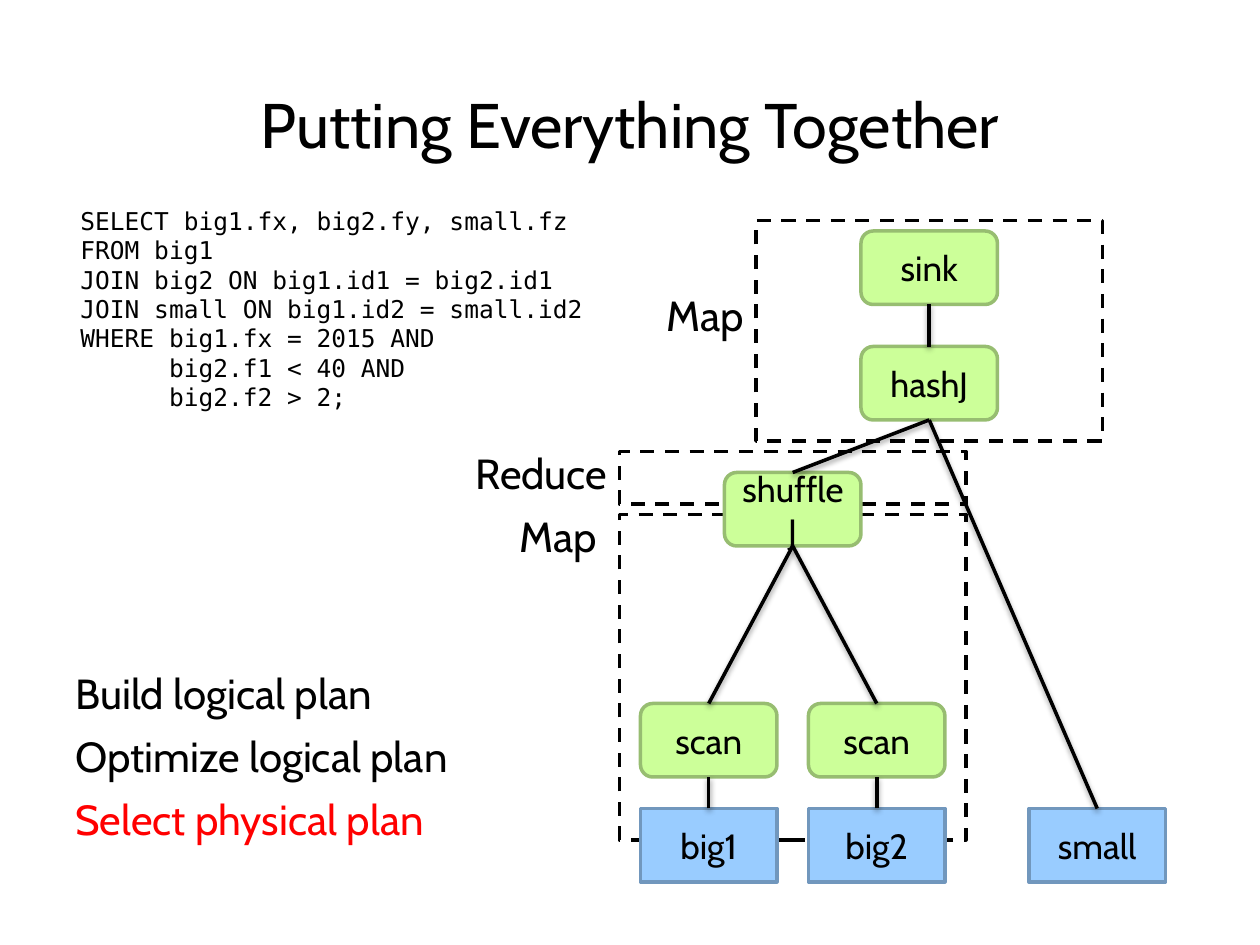
"""Build the slide that shows a query next to its physical plan tree."""
from lxml.etree import SubElement
from pptx import Presentation
from pptx.dml.color import RGBColor
from pptx.enum.dml import MSO_LINE
from pptx.enum.shapes import MSO_CONNECTOR, MSO_SHAPE
from pptx.enum.text import MSO_ANCHOR as ANCHOR, MSO_AUTO_SIZE as AUTO_SIZE, PP_ALIGN as ALIGN
from pptx.oxml.ns import qn
from pptx.util import Pt

BLACK = RGBColor(0x00, 0x00, 0x00)
RED = RGBColor(0xFF, 0x00, 0x00)
BLUE = RGBColor(0x99, 0xCC, 0xFF)
BLUE_EDGE = RGBColor(0x71, 0x97, 0xBD)
GREEN = RGBColor(0xCC, 0xFF, 0x99)
GREEN_EDGE = RGBColor(0x97, 0xBD, 0x71)

NODE_WIDTH, NODE_HEIGHT = 78, 42


def write(shape, text, size, align=ALIGN.LEFT, color=BLACK, font="Cabin", **frame_format):
    text_frame = shape.text_frame
    text_frame.text = text
    for name, value in frame_format.items():
        setattr(text_frame, name, value)
    for paragraph in text_frame.paragraphs:
        paragraph.alignment = align
        for run in paragraph.runs:
            for name, value in {"name": font, "size": Pt(size)}.items():
                setattr(run.font, name, value)
            run.font.color.rgb = color


def add_box(kind, left, top, width, height, edge):
    shape = slide.shapes.add_shape(kind, Pt(left), Pt(top), Pt(width), Pt(height))
    shape.shadow.inherit = False
    shape.line.color.rgb = edge
    shape.line.width = Pt(2)
    return shape


presentation = Presentation()
presentation.slide_width, presentation.slide_height = Pt(720), Pt(540)
slide = presentation.slides.add_slide(presentation.slide_layouts[5])

title = slide.shapes.title
title_place = {"left": 0, "top": 43.2, "width": 720, "height": 54}
for name, value in title_place.items():
    setattr(title, name, Pt(value))
write(title, "Putting Everything Together", 36, ALIGN.CENTER,
      vertical_anchor=ANCHOR.MIDDLE, auto_size=AUTO_SIZE.NONE)

stage_frames = [(354, 294, 198, 186), (354, 258, 198, 30), (432, 126, 198, 126)]
for place in stage_frames:
    frame = add_box(MSO_SHAPE.RECTANGLE, *place, BLACK)
    frame.fill.background()
    frame.line.dash_style = MSO_LINE.DASH

operator = (MSO_SHAPE.ROUNDED_RECTANGLE, GREEN, GREEN_EDGE)
table = (MSO_SHAPE.RECTANGLE, BLUE, BLUE_EDGE)
plan_nodes = {
    "sink": ("sink", 492, 132, operator),
    "join": ("hashJ", 492, 198, operator),
    "shuffle": ("shuffleJ", 414, 270, operator),
    "scan1": ("scan", 366, 402, operator),
    "scan2": ("scan", 462, 402, operator),
    "big1": ("big1", 366, 462, table),
    "big2": ("big2", 462, 462, table),
    "small": ("small", 588, 462, table),
}
nodes = {}
for key, (label, left, top, (kind, fill, edge)) in plan_nodes.items():
    node = add_box(kind, left, top, NODE_WIDTH, NODE_HEIGHT, edge)
    node.fill.solid()
    node.fill.fore_color.rgb = fill
    write(node, label, 20, ALIGN.CENTER, vertical_anchor=ANCHOR.MIDDLE)
    nodes[key] = node

plan_edges = [
    ("join", "sink"), ("shuffle", "join"), ("small", "join"), ("scan1", "shuffle"),
    ("scan2", "shuffle"), ("big1", "scan1"), ("big2", "scan2"),
]
shadow_format = {"blurRad": "40000", "dist": "20000", "dir": "5400000", "rotWithShape": "0"}
for child, parent in plan_edges:
    connector = slide.shapes.add_connector(MSO_CONNECTOR.STRAIGHT, 0, 0, 0, 0)
    connector.begin_connect(nodes[child], 0)
    connector.end_connect(nodes[parent], 2)
    connector.line.color.rgb = BLACK
    connector.line.width = Pt(2)
    effects = SubElement(connector._element.spPr, qn("a:effectLst"))
    shadow = SubElement(effects, qn("a:outerShdw"), shadow_format)
    shadow_color = SubElement(shadow, qn("a:srgbClr"), val="000000")
    SubElement(shadow_color, qn("a:alpha"), val="38000")

labels = [
    ("Build logical plan", 36, 378, 234, ALIGN.LEFT, BLACK),
    ("Optimize logical plan", 36, 414, 258, ALIGN.LEFT, BLACK),
    ("Select physical plan", 36, 450, 258, ALIGN.LEFT, RED),
    ("Map", 288, 288, 60, ALIGN.RIGHT, BLACK),
    ("Reduce", 264, 252, 90, ALIGN.RIGHT, BLACK),
    ("Map", 372, 162, 60, ALIGN.RIGHT, BLACK),
]
for text, left, top, width, align, color in labels:
    label = slide.shapes.add_textbox(Pt(left), Pt(top), Pt(width), Pt(36))
    write(label, text, 24, align, color, word_wrap=True, auto_size=AUTO_SIZE.SHAPE_TO_FIT_TEXT)

query_lines = [
    "SELECT big1.fx, big2.fy, small.fz",
    "FROM big1",
    "JOIN big2 ON big1.id1 = big2.id1",
    "JOIN small ON big1.id2 = small.id2",
    "WHERE big1.fx = 2015 AND\v      big2.f1 < 40 AND\v      big2.f2 > 2;",
]
query = slide.shapes.add_textbox(Pt(38.9), Pt(114), Pt(303), Pt(126))
write(query, "\n".join(query_lines), 14, font="DejaVu Sans Mono",
      word_wrap=False, auto_size=AUTO_SIZE.SHAPE_TO_FIT_TEXT)

presentation.save("out.pptx")
